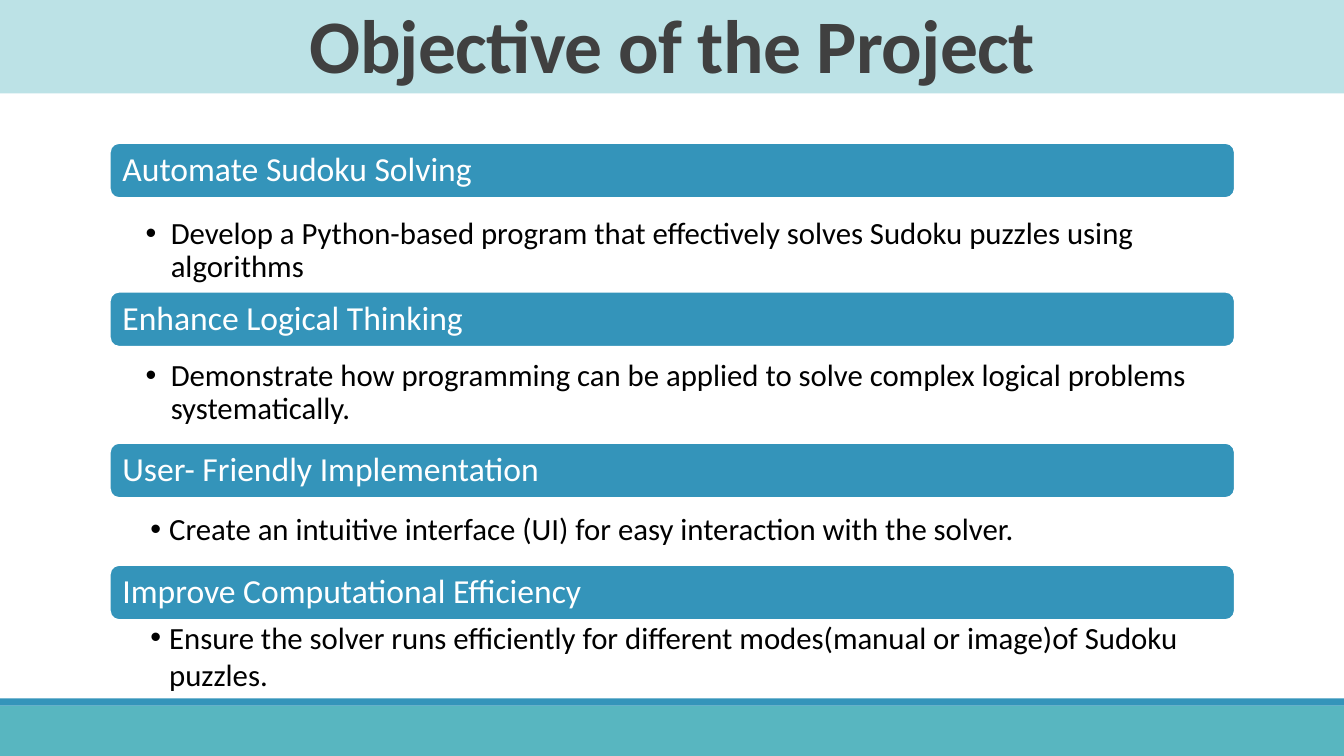
from lxml import etree
from pptx import Presentation
from pptx.dml.color import RGBColor
from pptx.enum import shapes, text
from pptx.oxml import ns
from pptx.util import Pt

WHITE = RGBColor(0xFF, 0xFF, 0xFF)
BLACK = RGBColor(0, 0, 0)
GREY = RGBColor(0x40, 0x40, 0x40)
BLUE = RGBColor(0x34, 0x94, 0xBA)
TEAL = RGBColor(0x58, 0xB6, 0xC0)
PALE_TEAL = RGBColor(0xBC, 0xE2, 0xE6)
WIDTH, HEIGHT = 960, 540
LEFT, BAR_WIDTH, BAR_HEIGHT = 78.5, 803.5, 39.3

presentation = Presentation()
presentation.slide_width, presentation.slide_height = Pt(WIDTH), Pt(HEIGHT)
slide = presentation.slides.add_slide(presentation.slide_layouts[6])


def add_block(kind, left, top, width, height, color):
    shape = slide.shapes.add_shape(kind, Pt(left), Pt(top), Pt(width), Pt(height))
    shape.shadow.inherit = False
    shape.fill.solid()
    shape.fill.fore_color.rgb = color
    shape.line.fill.background()
    return shape


def write(shape, words, size, color, anchor, align, spacing, bold=False):
    """Fill the shape with one formatted paragraph and return it."""
    frame = shape.text_frame
    frame.word_wrap = True
    frame.vertical_anchor = anchor
    paragraph = frame.paragraphs[0]
    paragraph.text = words
    paragraph.alignment = align
    paragraph.line_spacing = spacing
    font = paragraph.font
    font.name, font.size, font.bold = "Calibri", Pt(size), bold
    font.color.rgb = color
    return paragraph


RECTANGLE = shapes.MSO_SHAPE.RECTANGLE
add_block(RECTANGLE, 0, 504, WIDTH, 36, TEAL)
add_block(RECTANGLE, 0, 498.8, WIDTH, 5.2, BLUE)
title = add_block(RECTANGLE, 0, 0, WIDTH, 66.8, PALE_TEAL)
title_paragraph = write(title, "Objective of the Project", 54, GREY,
                        text.MSO_ANCHOR.BOTTOM, text.PP_ALIGN.CENTER, 0.85, bold=True)
title_paragraph.runs[0].font._element.set("spc", "-50")

# Detail styles: left inset, right inset, top inset, text indent, hanging, line spacing
TIGHT = (25.5, 12, 2.2, 18, 18, 0.9)
LOOSE = (7.2, 7.2, 3.6, 35.3, 13.5, 1.0)

# Heading, heading top, detail, detail top, detail height, detail style
objectives = [
    ("Automate Sudoku Solving", 102.2,
     "Develop a Python-based program that effectively solves Sudoku puzzles using algorithms",
     153.4, 45.4, TIGHT),
    ("Enhance Logical Thinking", 208.4,
     "Demonstrate how programming can be applied to solve complex logical problems "
     "systematically.",
     254.9, 57.6, TIGHT),
    ("User- Friendly Implementation", 316.4,
     "Create an intuitive interface (UI) for easy interaction with the solver.",
     360.7, 33.8, LOOSE),
    ("Improve Computational Efficiency", 403.6,
     "Ensure the solver runs efficiently for different modes(manual or image)of Sudoku puzzles.",
     438.5, 60.5, LOOSE),
]

for heading, heading_top, detail, detail_top, detail_height, style in objectives:
    bar = add_block(shapes.MSO_SHAPE.ROUNDED_RECTANGLE,
                    LEFT, heading_top, BAR_WIDTH, BAR_HEIGHT, BLUE)
    bar.line.color.rgb = WHITE
    bar.line.width = Pt(1.25)
    write(bar, heading, 24, WHITE, text.MSO_ANCHOR.MIDDLE, text.PP_ALIGN.LEFT, 0.9)

    left_inset, right_inset, top_inset, indent, hanging, spacing = style
    box = slide.shapes.add_textbox(Pt(LEFT), Pt(detail_top), Pt(BAR_WIDTH), Pt(detail_height))
    frame = box.text_frame
    frame.margin_left, frame.margin_right = Pt(left_inset), Pt(right_inset)
    frame.margin_top = frame.margin_bottom = Pt(top_inset)
    properties = frame.paragraphs[0]._p.get_or_add_pPr()
    properties.set("marL", str(Pt(indent)))
    properties.set("indent", str(-Pt(hanging)))
    etree.SubElement(properties, ns.qn("a:buFont"), typeface="Arial")
    etree.SubElement(properties, ns.qn("a:buChar"), char="•")
    write(box, detail, 22, BLACK, text.MSO_ANCHOR.TOP, text.PP_ALIGN.LEFT, spacing)

presentation.save("out.pptx")
